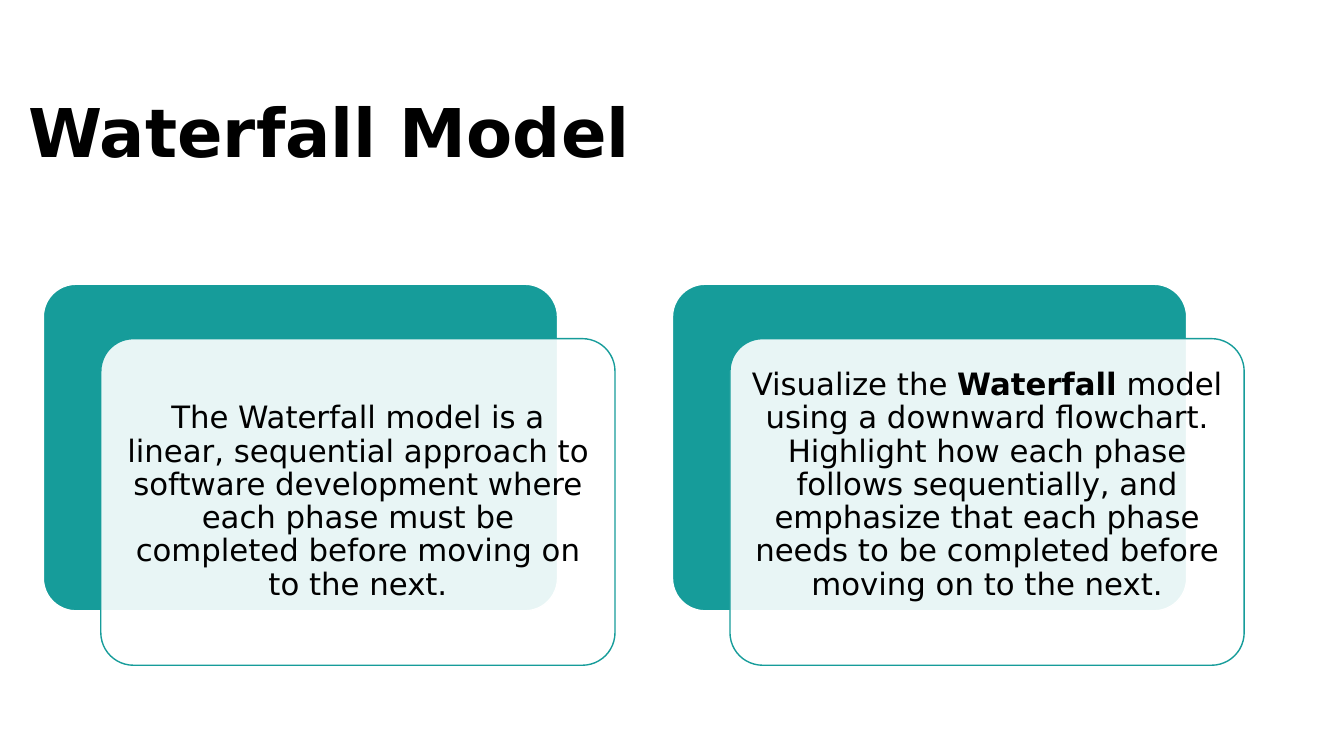
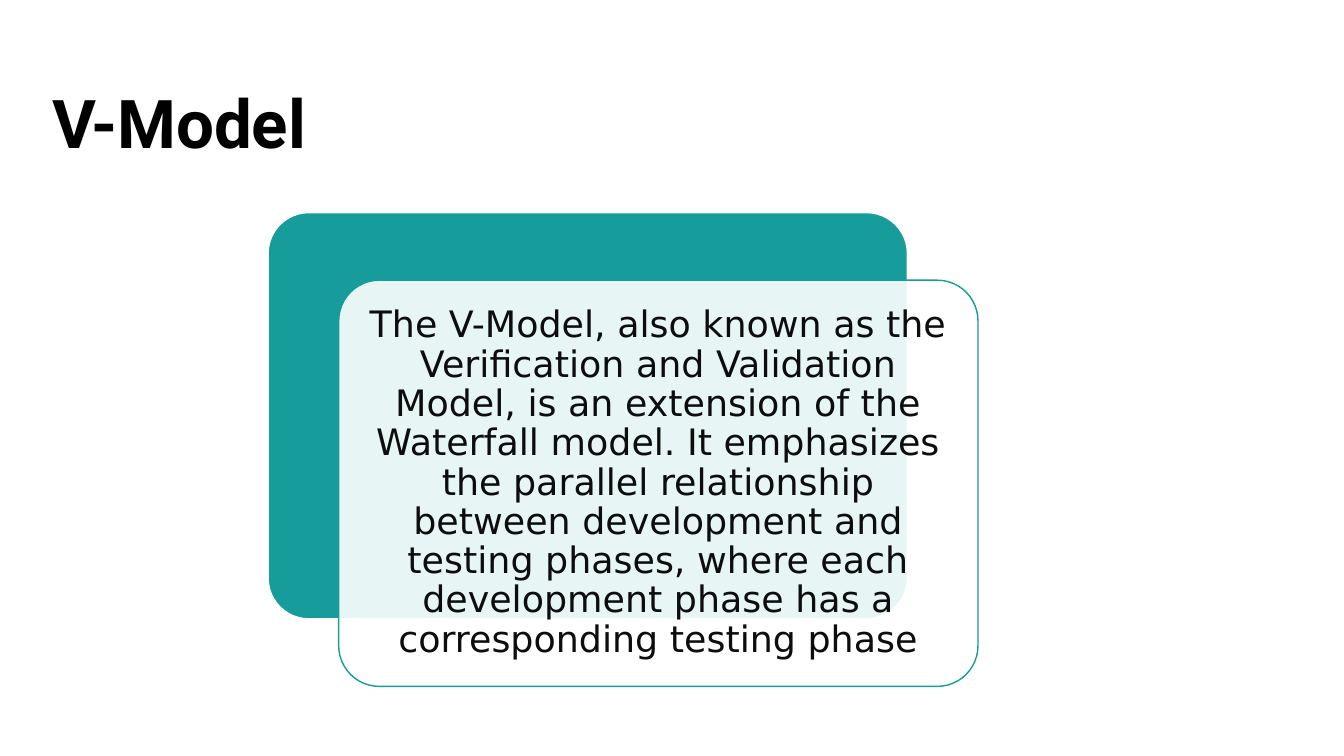
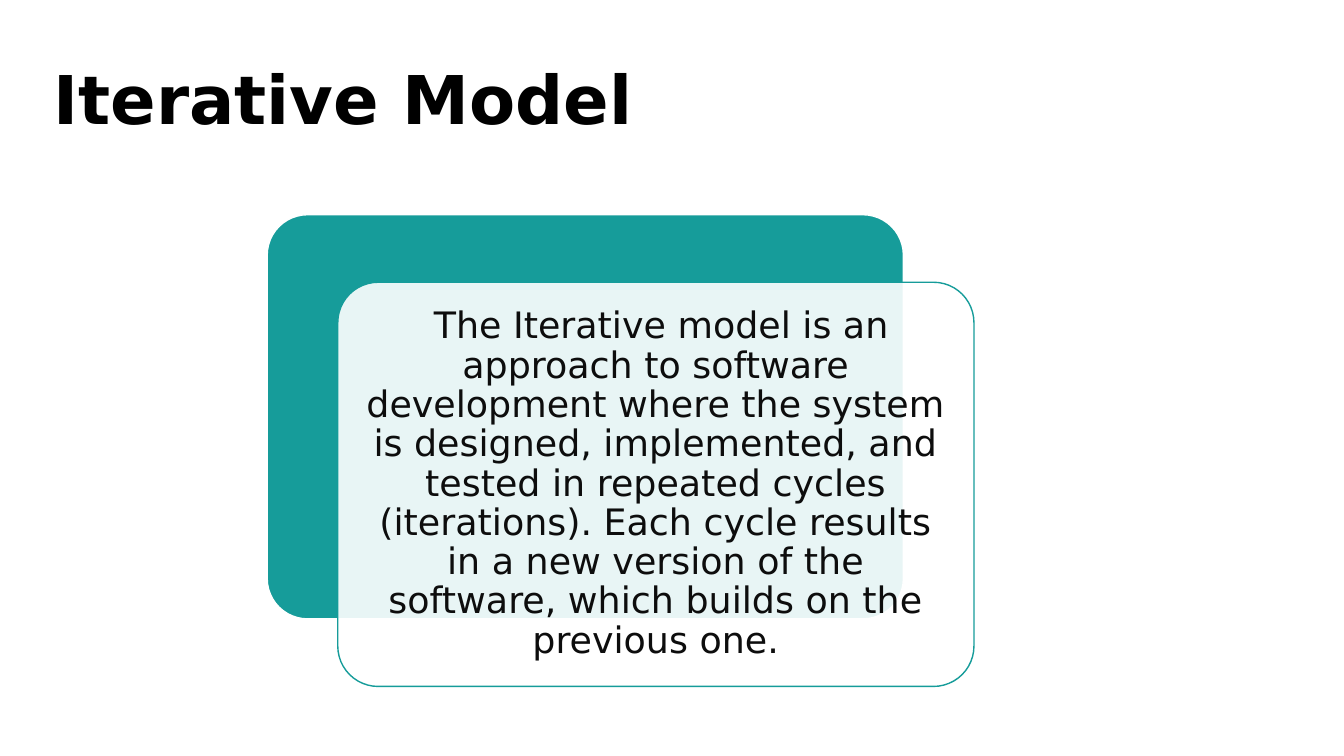
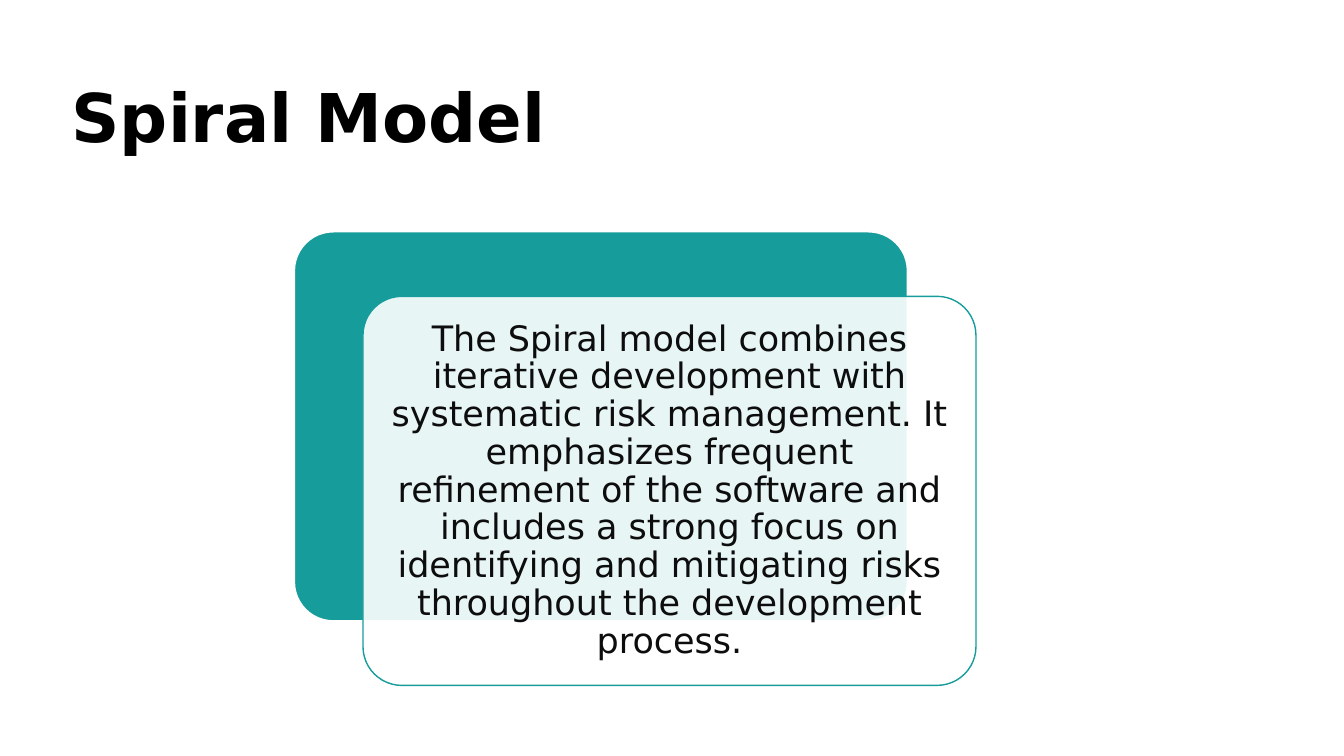
from lxml.etree import SubElement
from pptx import Presentation
from pptx.dml.color import RGBColor
from pptx.enum.shapes import MSO_SHAPE
from pptx.enum.text import MSO_ANCHOR, MSO_AUTO_SIZE, PP_ALIGN
from pptx.oxml.ns import qn
from pptx.util import Pt

PX = 9144
HUES = {"teal": "169C9A", "white": "FFFFFF", "black": "000000", "ink": "0D0D0D"}
SANS = "DejaVu Sans"


def px(num):
    return round(num) * PX


def hue(name):
    return RGBColor.from_string(HUES[name])


def apply(item, **values):
    for key, value in values.items():
        setattr(item, key, value)


class Deck:
    def __init__(self):
        self.prs = Presentation()
        apply(self.prs, slide_width=px(1333), slide_height=px(750))
        self.slide = None

    def page(self, title, left, top, font=SANS):
        self.slide = self.prs.slides.add_slide(self.prs.slide_layouts[5])
        head = self.slide.shapes.title
        apply(head, left=px(left), top=px(top), width=px(1113), height=px(170))
        self.label(head.text_frame, title, 48, "black", PP_ALIGN.LEFT, font, True)

    def label(self, frame, text, size, color, align, font=SANS, bold=False):
        """Fill the frame; parts between asterisks are bold."""
        apply(frame, word_wrap=True, auto_size=MSO_AUTO_SIZE.NONE,
              vertical_anchor=MSO_ANCHOR.MIDDLE)
        para = frame.paragraphs[0]
        apply(para, alignment=align, line_spacing=0.9)
        for num, part in enumerate(text.split("*")):
            run = para.add_run()
            run.text = part
            apply(run.font, name=font, size=Pt(size), bold=bold or num % 2 == 1)
            run.font.color.rgb = hue(color)

    def box(self, left, top, width, height, fill, line, alpha=100):
        shape = self.slide.shapes.add_shape(
            MSO_SHAPE.ROUNDED_RECTANGLE, px(left), px(top), px(width), px(height))
        shape.adjustments[0] = 0.1
        shape.shadow.inherit = False
        shape.fill.solid()
        shape.fill.fore_color.rgb = hue(fill)
        shape.line.color.rgb = hue(line)
        shape.line.width = Pt(1)
        if alpha < 100:
            tint = shape.element.spPr.find(qn("a:solidFill"))[0]
            SubElement(tint, qn("a:alpha")).set("val", str(alpha * 1000))
        return shape

    def card(self, left, top, width, text, size, color="ink", lift=0):
        """Teal box under a shifted clear box; lift adds room below the text."""
        height = width * 0.635
        self.box(left, top, width, height, "teal", "white")
        front = self.box(left + width / 9, top + height / 6, width, height,
                         "white", "teal", 90)
        frame, inset = front.text_frame, px(size * 0.42)
        apply(frame, margin_left=inset, margin_top=inset,
              margin_right=inset, margin_bottom=inset + px(lift))
        self.label(frame, text, size, color, PP_ALIGN.CENTER)


def main():
    deck = Deck()

    deck.page("Waterfall Model", 18, 50)
    deck.card(43, 282, 510, "The Waterfall model is a linear, sequential approach to "
              "software development where each phase must be completed before "
              "moving on to the next.", 22, "black")
    deck.card(667, 282, 510, "Visualize the *Waterfall* model using a downward "
              "flowchart. Highlight how each phase follows sequentially, and "
              "emphasize that each phase needs to be completed before moving on "
              "to the next.", 22, "black", 33)

    deck.page("V-Model", 42, 41, "Roboto")
    deck.card(266, 211, 634, "The V-Model, also known as the Verification and "
              "Validation Model, is an extension of the Waterfall model. It "
              "emphasizes the parallel relationship between development and "
              "testing phases, where each development phase has a corresponding "
              "testing phase", 26)

    deck.page("Iterative Model", 43, 17)
    deck.card(265, 213, 631, " The Iterative model is an approach to software "
              "development where the system is designed, implemented, and tested "
              "in repeated cycles (iterations). Each cycle results in a new "
              "version of the software, which builds on the previous one.", 26)

    deck.page("Spiral Model", 61, 35)
    deck.card(292, 230, 608, "The Spiral model combines iterative development with "
              "systematic risk management. It emphasizes frequent refinement of "
              "the software and includes a strong focus on identifying and "
              "mitigating risks throughout the development process.", 25)

    deck.prs.save("out.pptx")


if __name__ == "__main__":
    main()
